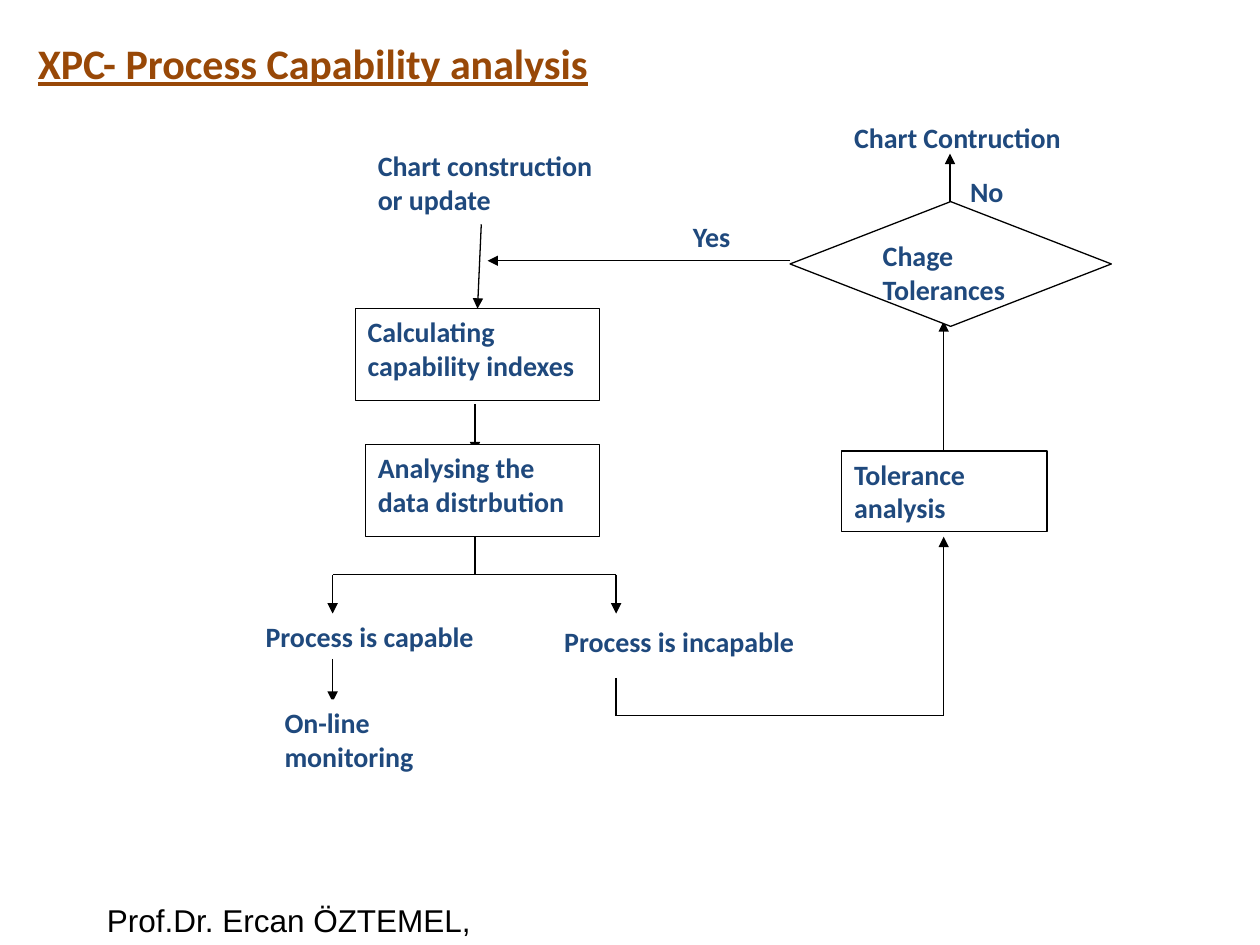
"""Build the process capability analysis flowchart slide."""
from lxml.etree import SubElement
from pptx import Presentation
from pptx.dml.color import RGBColor
from pptx.enum.shapes import MSO_CONNECTOR, MSO_SHAPE
from pptx.enum.text import MSO_ANCHOR, PP_ALIGN
from pptx.oxml.ns import qn
from pptx.util import Inches, Pt

BLACK = RGBColor(0x00, 0x00, 0x00)
WHITE = RGBColor(0xFF, 0xFF, 0xFF)
NAVY = RGBColor(0x1F, 0x49, 0x7D)
BROWN = RGBColor(0x98, 0x48, 0x07)

deck = Presentation()
deck.slide_width, deck.slide_height = Inches(10), Inches(7.5)
COLUMN = deck.slide_width / 100
ROW = deck.slide_height / 75
page = deck.slides.add_slide(deck.slide_layouts[5])


def write(shape, text, font="Calibri", size=16, color=NAVY, bold=True, underline=False):
    frame = shape.text_frame
    frame.word_wrap = True
    frame.vertical_anchor = MSO_ANCHOR.TOP
    para = frame.paragraphs[0]
    para.alignment = PP_ALIGN.LEFT
    span = para.add_run()
    span.text = text
    span.font.name = font
    span.font.size = Pt(size)
    span.font.color.rgb = color
    span.font.bold = bold
    span.font.underline = underline


def place(left, top, right, bottom):
    return round(left * COLUMN), round(top * ROW), round(right * COLUMN), round(bottom * ROW)


footer = page.shapes.add_textbox(*place(7.5, 71, 31.9, 4))
write(footer, "Prof.Dr. Ercan ÖZTEMEL,", font="Arial", size=18, color=BLACK, bold=False)

LABEL, BOX, DECISION, LINE, ARROW = "label", "box", "decision", "line", "arrow"
MAIN, CAPABLE, INCAPABLE, TOLERANCE, CHOICE = 37.7, 26.4, 48.9, 74.9, 75.4
FORK, RETURN, LOOP = 45.6, 56.8, 20.7

steps = [
    (LABEL, (76, 13.4, 9.2, 3), "No"),
    (LABEL, (66.8, 9.1, 18.9, 4.3), "Chart Contruction"),
    (LABEL, (29, 11.3, 19.4, 7.3), "Chart construction or update"),
    (ARROW, (38.2, 17.8, 37.9, 24.5), ""),
    (BOX, (28.2, 24.5, 19.4, 7.3), "Calculating capability indexes"),
    (ARROW, (MAIN, 32.1, MAIN, 35.9), ""),
    (BOX, (29, 35.3, 18.6, 7.3), "Analysing the data distrbution"),
    (LINE, (MAIN, 42.6, MAIN, FORK), ""),
    (LINE, (INCAPABLE, FORK, CAPABLE, FORK), ""),
    (ARROW, (CAPABLE, FORK, CAPABLE, 48.7), ""),
    (ARROW, (INCAPABLE, FORK, INCAPABLE, 48.7), ""),
    (LABEL, (20.1, 48.7, 20.7, 5.1), "Process is capable"),
    (LABEL, (43.8, 49.1, 23, 5.2), "Process is incapable"),
    (ARROW, (CAPABLE, 52.3, CAPABLE, 55.7), ""),
    (LABEL, (21.6, 55.5, 17.9, 5.2), "On-line monitoring"),
    (LINE, (INCAPABLE, 53.8, INCAPABLE, RETURN), ""),
    (LINE, (INCAPABLE, RETURN, TOLERANCE, RETURN), ""),
    (ARROW, (TOLERANCE, RETURN, TOLERANCE, 42.6), ""),
    (BOX, (66.8, 35.8, 16.3, 6.4), "Tolerance analysis"),
    (ARROW, (TOLERANCE, 35.8, TOLERANCE, 25.5), ""),
    (DECISION, (62.7, 16, 25.5, 9.9), "Chage Tolerances"),
    (ARROW, (62.7, LOOP, 38.7, LOOP), ""),
    (ARROW, (CHOICE, 16, CHOICE, 12.2), ""),
    (LABEL, (54, 16.9, 9.2, 3), "Yes"),
]

for kind, grid, text in steps:
    if kind in (LINE, ARROW):
        link = page.shapes.add_connector(MSO_CONNECTOR.STRAIGHT, *place(*grid))
        link.line.color.rgb = BLACK
        link.line.width = Pt(0.75)
        if kind == ARROW:
            SubElement(link.line._get_or_add_ln(), qn("a:tailEnd"), type="triangle")
        SubElement(link._element.spPr, qn("a:effectLst"))
        continue
    preset = MSO_SHAPE.DIAMOND if kind == DECISION else MSO_SHAPE.RECTANGLE
    box = page.shapes.add_shape(preset, *place(*grid))
    box.shadow.inherit = False
    box.fill.solid()
    box.fill.fore_color.rgb = WHITE
    if kind == LABEL:
        box.line.fill.background()
    else:
        box.line.color.rgb = BLACK
        box.line.width = Pt(0.75)
    write(box, text)

title = page.shapes.title
title.left, title.top, title.width, title.height = place(2, 2.5, 54.3, 5.1)
write(title, "XPC- Process Capability analysis", size=24, color=BROWN, underline=True)

deck.save("out.pptx")
